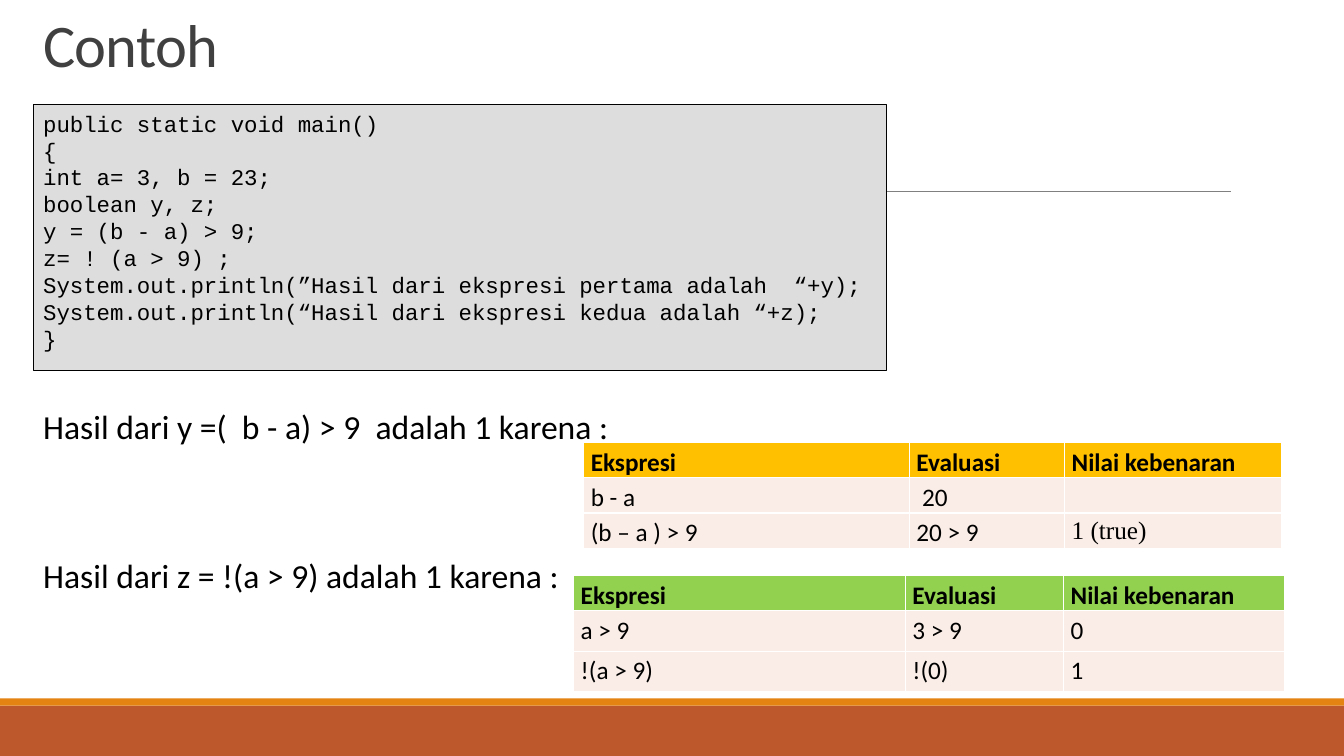
from lxml.etree import SubElement
from pptx import Presentation
from pptx.dml.color import RGBColor
from pptx.enum.shapes import MSO_CONNECTOR, MSO_SHAPE
from pptx.enum.text import MSO_ANCHOR, PP_ALIGN
from pptx.oxml.ns import qn
from pptx.util import Inches, Pt


def color(value):
    return RGBColor.from_string(value)


class SlideBuilder:
    """Draws the elements of one slide in a shared style."""

    font = "Calibri"
    ink = "000000"
    body_fill = "FAEDE7"
    border = "FFFFFF"

    def __init__(self, slide):
        self.slide = slide

    def format(self, paragraph, size, font=None, ink=None, bold=False):
        paragraph.alignment = PP_ALIGN.LEFT
        for run in paragraph.runs:
            run.font.size = Pt(size)
            run.font.name = font or self.font
            run.font.bold = bold
            run.font.color.rgb = color(ink or self.ink)

    def box(self, left, top, width, height, fill, line=None):
        shape = self.slide.shapes.add_shape(
            MSO_SHAPE.RECTANGLE, Inches(left), Inches(top), Inches(width), Inches(height))
        shape.shadow.inherit = False
        shape.fill.solid()
        shape.fill.fore_color.rgb = color(fill)
        if line:
            shape.line.color.rgb = color(line)
            shape.line.width = Pt(0.75)
        else:
            shape.line.fill.background()
        return shape

    def rule(self, left, right, top, ink):
        connector = self.slide.shapes.add_connector(
            MSO_CONNECTOR.STRAIGHT, Inches(left), Inches(top), Inches(right), Inches(top))
        connector.line.color.rgb = color(ink)
        connector.line.width = Pt(0.5)
        SubElement(connector._element.spPr, qn("a:effectLst"))

    def text(self, left, top, width, height, text, size, ink=None, wrap=False):
        shape = self.slide.shapes.add_textbox(
            Inches(left), Inches(top), Inches(width), Inches(height))
        frame = shape.text_frame
        frame.word_wrap = wrap
        frame.text = text
        self.format(frame.paragraphs[0], size, ink=ink)
        return frame

    def title(self, left, top, width, height, text):
        frame = self.text(left, top, width, height, text, 43.2, "404040", True)
        frame.vertical_anchor = MSO_ANCHOR.BOTTOM
        paragraph = frame.paragraphs[0]
        paragraph.line_spacing = 0.85
        paragraph.runs[0].font._element.set("spc", "-50")

    def code(self, left, top, width, height, text):
        frame = self.box(left, top, width, height, "DDDDDD", self.ink).text_frame
        frame.vertical_anchor = MSO_ANCHOR.TOP
        frame.word_wrap = True
        frame.text = text
        for paragraph in frame.paragraphs:
            self.format(paragraph, 16, "Courier New")
        frame.paragraphs[-1].space_after = Pt(8)

    def borders(self, cell):
        properties = cell._tc.get_or_add_tcPr()
        for position, side in enumerate(("a:lnL", "a:lnR", "a:lnT", "a:lnB")):
            line = properties.makeelement(qn(side), {"w": str(Pt(1))})
            fill = SubElement(line, qn("a:solidFill"))
            SubElement(fill, qn("a:srgbClr"), val=self.border)
            properties.insert(position, line)

    def table(self, left, top, widths, heights, rows, header_fill):
        table = self.slide.shapes.add_table(
            len(rows), len(widths), Inches(left), Inches(top),
            Inches(sum(widths)), Inches(sum(heights))).table
        for column, width in zip(table.columns, widths):
            column.width = Inches(width)
        for row, height in zip(table.rows, heights):
            row.height = Inches(height)
        for row_index, values in enumerate(rows):
            for column_index, value in enumerate(values):
                cell = table.cell(row_index, column_index)
                cell.margin_left = cell.margin_right = Inches(0.07)
                cell.margin_top = cell.margin_bottom = 0
                cell.fill.solid()
                cell.fill.fore_color.rgb = color(self.body_fill if row_index else header_fill)
                self.borders(cell)
                cell.text_frame.text = value
                paragraph = cell.text_frame.paragraphs[0]
                paragraph.line_spacing = 1.15
                paragraph.space_before = Pt(6)
                self.format(paragraph, 18, bold=row_index == 0)
        return table


CODE = """public static void main()
{
int a= 3, b = 23;
boolean y, z;
y = (b - a) > 9;
z= ! (a > 9) ;
System.out.println(”Hasil dari ekspresi pertama adalah  “+y);
System.out.println(“Hasil dari ekspresi kedua adalah “+z);
}"""
HEADER = ("Ekspresi", "Evaluasi", "Nilai kebenaran")
FIRST_ROWS = (HEADER, ("b - a", " 20", ""), ("(b – a ) > 9", "20 > 9", "1 (true)"))
SECOND_ROWS = (HEADER, ("a > 9", "3 > 9", "0"), ("!(a > 9)", "!(0)", "1"))
MARGIN = 0.33


def main():
    presentation = Presentation()
    presentation.slide_width = Inches(13.33)
    presentation.slide_height = Inches(7.5)
    builder = SlideBuilder(presentation.slides.add_slide(presentation.slide_layouts[6]))

    builder.box(0, 7, 13.33, 0.5, "BD582C")
    builder.box(0, 6.93, 13.33, 0.07, "E48312")
    builder.rule(1.31, 12.21, 1.9, "808080")
    builder.title(MARGIN, 0.2, 5.45, 0.64, "Contoh")
    builder.code(MARGIN, 1.04, 8.46, 2.64, CODE)

    first_table = builder.table(
        5.79, 4.39, (3.23, 1.54, 2.15), (0.35,) * 3, FIRST_ROWS, "FFC000")
    builder.format(first_table.cell(2, 2).text_frame.paragraphs[0], 18, "Times New Roman")
    builder.table(5.69, 5.71, (3.29, 1.57, 2.19), (0.35, 0.4, 0.4), SECOND_ROWS, "92D050")

    builder.text(MARGIN, 3.98, 5.85, 0.5, "Hasil dari y =(  b - a) > 9  adalah 1 karena :", 24)
    builder.text(MARGIN, 5.46, 5.36, 0.5, "Hasil dari z = !(a > 9) adalah 1 karena :", 24)
    presentation.save("out.pptx")


if __name__ == "__main__":
    main()
